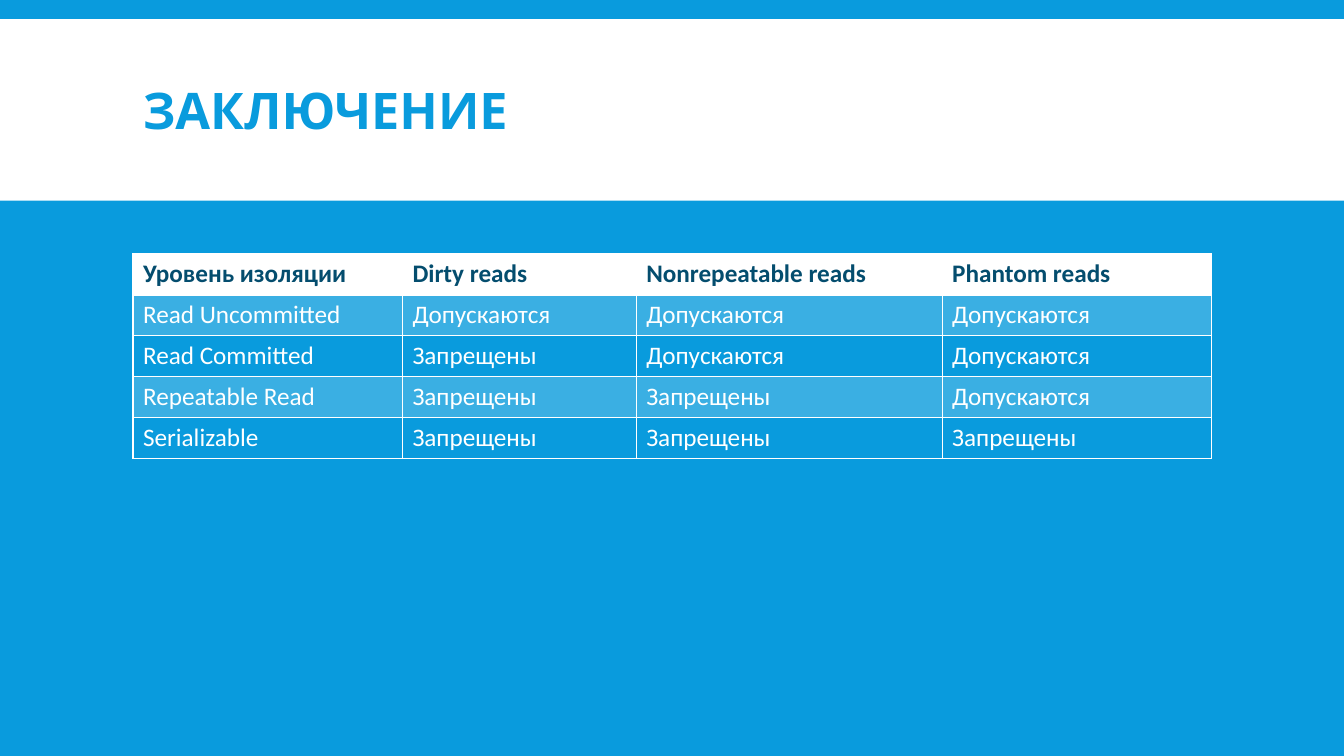
"""Build a slide with a table of transaction isolation levels."""
from dataclasses import dataclass

import lxml.etree
import pptx
import pptx.dml.color
import pptx.enum.shapes
import pptx.enum.text
import pptx.oxml
import pptx.oxml.ns
import pptx.util

Pt = pptx.util.Pt
BLUE, NAVY, WHITE = "099BDD", "044D6E", "FFFFFF"
ALLOWED, FORBIDDEN = "Допускаются", "Запрещены"
COLUMN_WIDTHS = (192.5, 167, 218.5, 192.5)
ROW_HEIGHT = 29.3
LEFT, CONTENT_WIDTH = 95, sum(COLUMN_WIDTHS)


@dataclass(frozen=True)
class RowStyle:
    """Look of a table row; opacity is a percentage of white."""
    color: str
    bold: bool
    opacity: int
    anchor: pptx.enum.text.MSO_ANCHOR
    bottom_line: float = 1


@dataclass(frozen=True)
class TableRow:
    """Texts of one row and their style."""
    texts: tuple[str, ...]
    style: RowStyle


HEADER = RowStyle(NAVY, True, 100, pptx.enum.text.MSO_ANCHOR.TOP, 2)
BANDED = RowStyle(WHITE, False, 20, pptx.enum.text.MSO_ANCHOR.MIDDLE)
PLAIN = RowStyle(WHITE, False, 0, pptx.enum.text.MSO_ANCHOR.MIDDLE)

ROWS = (
    TableRow(("Уровень изоляции", "Dirty reads", "Nonrepeatable reads", "Phantom reads"), HEADER),
    TableRow(("Read Uncommitted", ALLOWED, ALLOWED, ALLOWED), BANDED),
    TableRow(("Read Committed", FORBIDDEN, ALLOWED, ALLOWED), PLAIN),
    TableRow(("Repeatable Read", FORBIDDEN, FORBIDDEN, ALLOWED), BANDED),
    TableRow(("Serializable", FORBIDDEN, FORBIDDEN, FORBIDDEN), PLAIN),
)


def rgb(value: str) -> pptx.dml.color.RGBColor:
    """Turn a hex string into a colour."""
    return pptx.dml.color.RGBColor.from_string(value)


def set_font(paragraph, name: str, size: float, color: str, bold: bool) -> None:
    """Set the font of a whole paragraph."""
    paragraph.font.name = name
    paragraph.font.size = Pt(size)
    paragraph.font.bold = bold
    paragraph.font.color.rgb = rgb(color)


def set_cell_fill(cell, opacity: int) -> None:
    """Fill a cell with white of the given opacity."""
    if opacity == 0:
        cell.fill.background()
        return
    cell.fill.solid()
    cell.fill.fore_color.rgb = rgb(WHITE)
    if opacity < 100:
        color = cell._tc.tcPr.find(".//" + pptx.oxml.ns.qn("a:srgbClr"))
        alpha = lxml.etree.SubElement(color, pptx.oxml.ns.qn("a:alpha"))
        alpha.set("val", str(opacity * 1000))


def set_cell_borders(cell, bottom_line: float) -> None:
    """Draw white lines on the four sides of a cell."""
    sides = {"lnL": 1, "lnR": 1, "lnT": 1, "lnB": bottom_line}
    for position, (side, width) in enumerate(sides.items()):
        line = pptx.oxml.parse_xml(
            f'<a:{side} {pptx.oxml.ns.nsdecls("a")} w="{Pt(width)}">'
            f'<a:solidFill><a:srgbClr val="{WHITE}"/></a:solidFill></a:{side}>'
        )
        cell._tc.get_or_add_tcPr().insert(position, line)


def add_banner(slide) -> None:
    """Add the white band behind the title."""
    banner = slide.shapes.add_shape(
        pptx.enum.shapes.MSO_SHAPE.RECTANGLE, Pt(0), Pt(13.7), Pt(960), Pt(129.6)
    )
    banner.shadow.inherit = False
    banner.fill.solid()
    banner.fill.fore_color.rgb = rgb(WHITE)
    banner.line.fill.background()


def add_title(slide, text: str) -> None:
    """Add the slide title."""
    title = slide.shapes.add_textbox(Pt(LEFT), Pt(22.3), Pt(CONTENT_WIDTH), Pt(118.8))
    title.text_frame.word_wrap = True
    title.text_frame.vertical_anchor = pptx.enum.text.MSO_ANCHOR.MIDDLE
    paragraph = title.text_frame.paragraphs[0]
    paragraph.text = text
    paragraph.line_spacing = 0.85
    set_font(paragraph, "Quicksand", 36, BLUE, True)


def add_isolation_table(slide, rows: tuple[TableRow, ...]) -> None:
    """Add the table of isolation levels."""
    table = slide.shapes.add_table(
        len(rows), len(COLUMN_WIDTHS), Pt(LEFT), Pt(181.2),
        Pt(CONTENT_WIDTH), Pt(ROW_HEIGHT * len(rows)),
    ).table
    table.horz_banding = False
    for column, width in zip(table.columns, COLUMN_WIDTHS):
        column.width = Pt(width)
    for table_row, row in zip(table.rows, rows):
        table_row.height = Pt(ROW_HEIGHT)
        for cell, text in zip(table_row.cells, row.texts):
            cell.text = text
            cell.vertical_anchor = row.style.anchor
            set_font(cell.text_frame.paragraphs[0], "Calibri", 18, row.style.color, row.style.bold)
            set_cell_fill(cell, row.style.opacity)
            set_cell_borders(cell, row.style.bottom_line)


def main() -> None:
    """Build and save the presentation."""
    presentation = pptx.Presentation()
    presentation.slide_width, presentation.slide_height = Pt(960), Pt(540)
    slide = presentation.slides.add_slide(presentation.slide_layouts[6])
    slide.background.fill.solid()
    slide.background.fill.fore_color.rgb = rgb(BLUE)
    add_banner(slide)
    add_title(slide, "ЗАКЛЮЧЕНИЕ")
    add_isolation_table(slide, ROWS)
    presentation.save("out.pptx")


if __name__ == "__main__":
    main()
